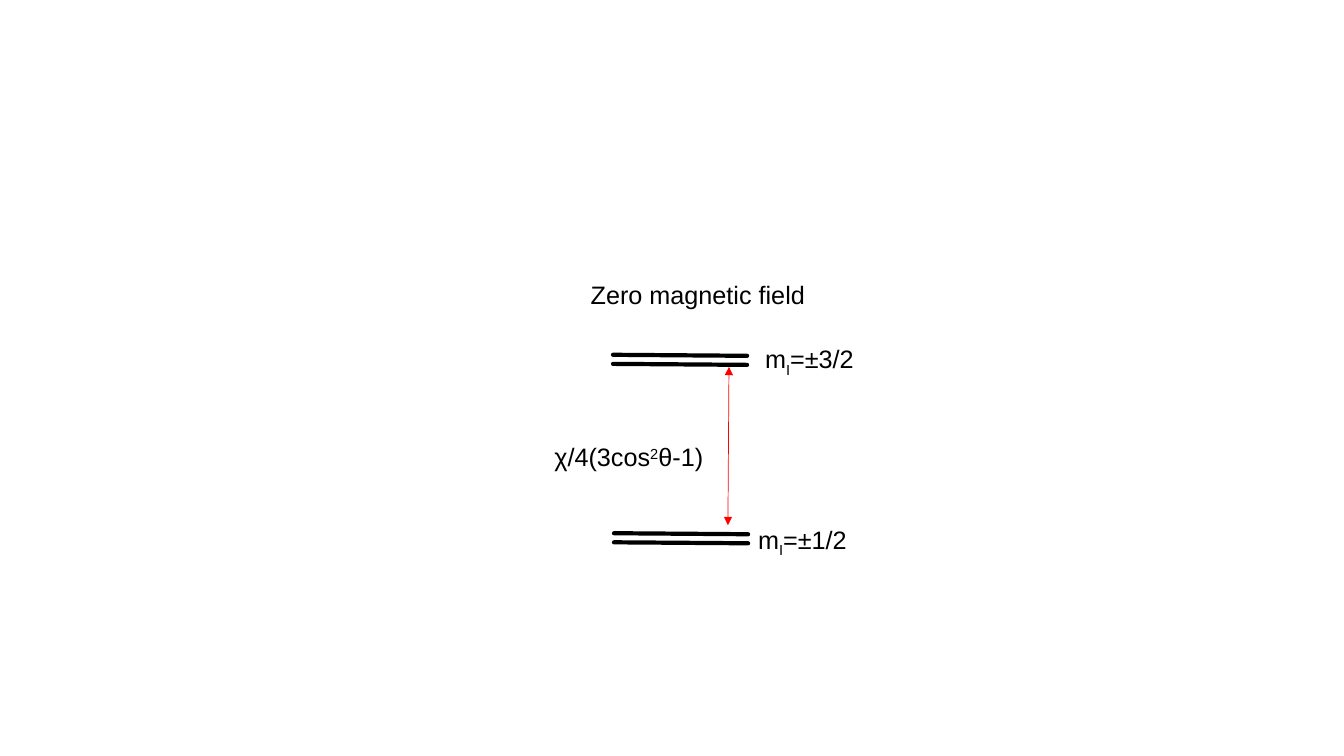
from lxml import etree
from pptx import Presentation
from pptx.dml.color import RGBColor
from pptx.enum.shapes import MSO_CONNECTOR
from pptx.enum.text import MSO_AUTO_SIZE
from pptx.oxml.ns import qn
from pptx.util import Inches, Pt

STRAIGHT = MSO_CONNECTOR.STRAIGHT
GROW = MSO_AUTO_SIZE.SHAPE_TO_FIT_TEXT
BLACK = "000000"
RED = "FF0000"
SUB = -25
SUPER = 30


def color(value):
    return RGBColor.from_string(value)


def add_text(shapes, runs, x, y, w, h=0.4, wrap=True, size=18, font="Arial", fill=BLACK):
    tf = shapes.add_textbox(Inches(x), Inches(y), Inches(w), Inches(h)).text_frame
    tf.word_wrap = wrap
    tf.auto_size = GROW
    p = tf.paragraphs[0]
    for text, baseline in runs:
        r = p.add_run()
        r.text = text
        r.font.size = Pt(size)
        r.font.name = font
        r.font.color.rgb = color(fill)
        if baseline:
            r._r.get_or_add_rPr().set("baseline", f"{baseline * 1000}")


def add_line(shapes, x1, y1, x2, y2, stroke, width, arrows=False):
    line = shapes.add_connector(STRAIGHT, Inches(x1), Inches(y1), Inches(x2), Inches(y2))
    line.line.color.rgb = color(stroke)
    line.line.width = Pt(width)
    ln = line.line._get_or_add_ln()
    if arrows:
        for end in ("a:headEnd", "a:tailEnd"):
            etree.SubElement(ln, qn(end)).set("type", "triangle")
    else:
        ln.set("cap", "rnd")
    etree.SubElement(line._element.spPr, qn("a:effectLst"))


def add_level(shapes, x, y, value, label_dx, label_dy, w=1.33, gap=0.09, tilt=0.01):
    for i in range(2):
        top = y + i * gap
        add_line(shapes, x, top, x + w, top + tilt, BLACK, 3)
    runs = [("m", 0), ("I", SUB), (f"=±{value}", 0)]
    add_text(shapes, runs, x + label_dx, y + label_dy, 1.43)


def add_splitting_diagram(s, x, y):
    shapes = s.shapes.add_group_shape().shapes
    add_level(shapes, x + 0.69, y + 2.57, "1/2", 1.33, -0.14)
    add_level(shapes, x + 0.68, y + 0.8, "3/2", 1.41, -0.16)
    add_line(shapes, x + 1.82, y + 2.49, x + 1.83, y + 0.92, RED, 0.5, arrows=True)
    add_text(shapes, [("Zero magnetic field", 0)], x + 0.36, y, 2.35, wrap=False)
    splitting = [("χ/4(3cos", 0), ("2", SUPER), ("θ-1)", 0)]
    add_text(shapes, splitting, x, y + 1.61, 1.7, wrap=False)


def main():
    prs = Presentation()
    prs.slide_width = Inches(13.33)
    prs.slide_height = Inches(7.5)
    s = prs.slides.add_slide(prs.slide_layouts[6])
    add_splitting_diagram(s, 5.4, 2.72)
    prs.save("out.pptx")


if __name__ == "__main__":
    main()
